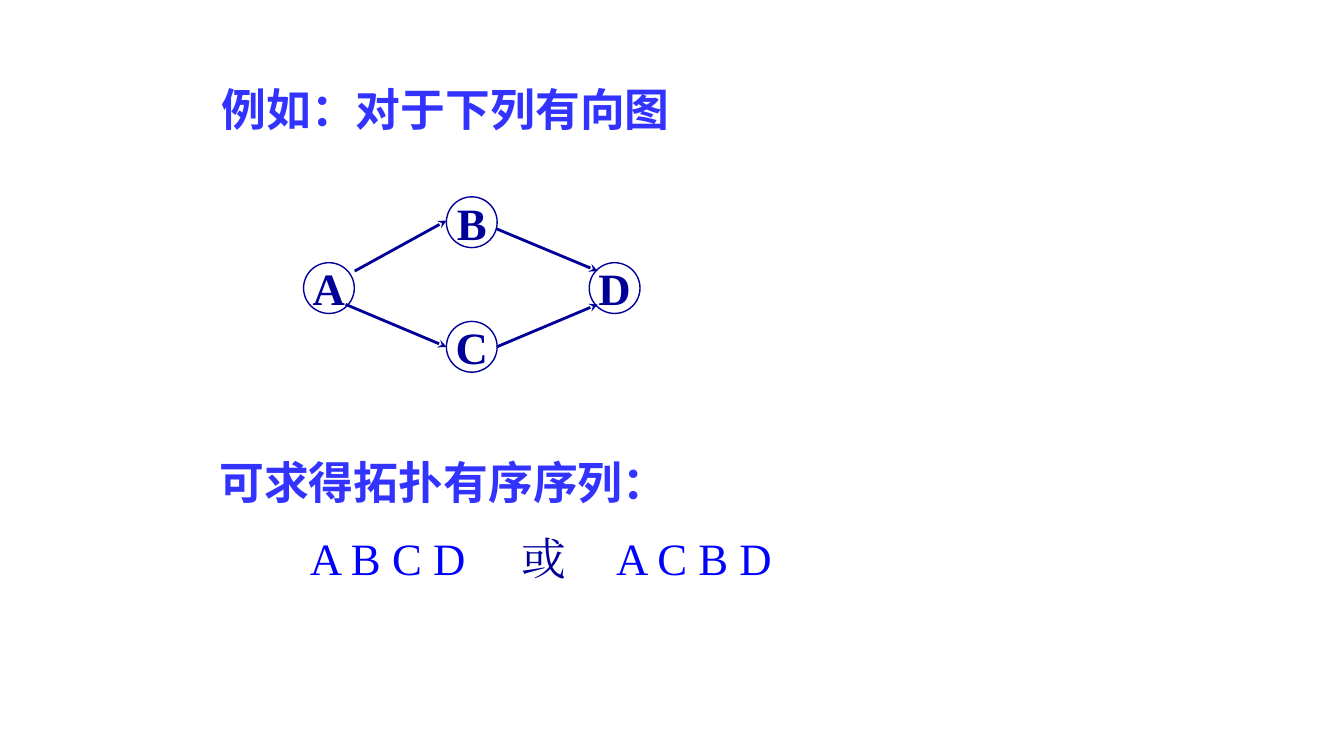
"""Builds a slide showing a directed graph and its topological orders."""
import dataclasses

import pptx
import pptx.dml.color
import pptx.enum.shapes
import pptx.enum.text
import pptx.oxml.ns
import pptx.util
from lxml import etree

Cm = pptx.util.Cm
Pt = pptx.util.Pt
qn = pptx.oxml.ns.qn
Align = pptx.enum.text.PP_ALIGN
Anchor = pptx.enum.text.MSO_ANCHOR


@dataclasses.dataclass(frozen=True)
class Theme:
    head: str = "3333FF"
    ink: str = "000099"
    order: str = "0000FF"
    sans: str = "DejaVu Sans Mono"
    serif: str = "Times New Roman"
    size: float = 32
    ring: float = 1
    edge: float = 2


@dataclasses.dataclass(frozen=True)
class Node:
    name: str
    x: float
    y: float


@dataclasses.dataclass(frozen=True)
class Edge:
    x1: float
    y1: float
    x2: float
    y2: float


THEME = Theme()
WIDTH = 1.28
NODES = [
    Node("B", 11.89, 5.6),
    Node("D", 15.49, 7.26),
    Node("A", 8.29, 7.26),
    Node("C", 11.89, 8.74),
]
EDGES = [
    Edge(8.94, 6.83, 11.25, 5.56),
    Edge(8.71, 7.67, 11.25, 8.74),
    Edge(12.52, 5.77, 15.06, 6.83),
    Edge(12.52, 8.74, 15.06, 7.67),
]
ORDERS = [("\tA B C D", THEME.order), ("\t或", THEME.ink), ("\tA C B D", THEME.order)]
TABS = [2.28, 7.62, 10]


def color(code: str) -> pptx.dml.color.RGBColor:
    return pptx.dml.color.RGBColor.from_string(code)


def write(para, text: str, *, face: str, tint: str, bold: bool = True) -> None:
    run = para.add_run()
    run.text = text
    font = run.font
    font.name = face
    font.size = Pt(THEME.size)
    font.bold = bold
    font.color.rgb = color(tint)
    latin = run._r.rPr.find(qn("a:latin"))
    latin.addnext(latin.makeelement(qn("a:ea"), {"typeface": face}))


def set_tabs(para, stops: list[float]) -> None:
    tabs = etree.SubElement(para._p.get_or_add_pPr(), qn("a:tabLst"))
    for stop in stops:
        etree.SubElement(tabs, qn("a:tab"), pos=str(Cm(stop)), algn="l")


def draw_title(slide) -> None:
    title = slide.shapes.title
    title.left, title.top = Cm(5.33), Cm(1.93)
    title.width, title.height = Cm(11.96), Cm(1.63)
    frame = title.text_frame
    frame.word_wrap = False
    frame.auto_size = pptx.enum.text.MSO_AUTO_SIZE.NONE
    frame.vertical_anchor = Anchor.TOP
    para = frame.paragraphs[0]
    para.alignment = Align.LEFT
    write(para, "例如：对于下列有向图", face=THEME.sans, tint=THEME.head)


def draw_node(slide, node: Node) -> None:
    oval = slide.shapes.add_shape(
        pptx.enum.shapes.MSO_SHAPE.OVAL,
        Cm(node.x - WIDTH / 2), Cm(node.y - WIDTH / 2), Cm(WIDTH), Cm(WIDTH),
    )
    oval.shadow.inherit = False
    oval.fill.background()
    oval.line.color.rgb = color(THEME.ink)
    oval.line.width = Pt(THEME.ring)
    frame = oval.text_frame
    frame.word_wrap = False
    frame.vertical_anchor = Anchor.MIDDLE
    para = frame.paragraphs[0]
    para.alignment = Align.CENTER
    write(para, node.name, face=THEME.serif, tint=THEME.ink)


def draw_edge(slide, edge: Edge) -> None:
    link = slide.shapes.add_connector(
        pptx.enum.shapes.MSO_CONNECTOR.STRAIGHT,
        Cm(edge.x1), Cm(edge.y1), Cm(edge.x2), Cm(edge.y2),
    )
    link.line.color.rgb = color(THEME.ink)
    link.line.width = Pt(THEME.edge)
    etree.SubElement(link.line._get_or_add_ln(), qn("a:tailEnd"), type="stealth")
    etree.SubElement(link._element.spPr, qn("a:effectLst"))


def draw_result(slide) -> None:
    box = slide.shapes.add_textbox(Cm(5.28), Cm(11.33), Cm(22.86), Cm(3.68))
    frame = box.text_frame
    frame.word_wrap = True
    write(frame.paragraphs[0], "可求得拓扑有序序列：", face=THEME.sans, tint=THEME.head)
    para = frame.add_paragraph()
    para.space_before = Pt(THEME.size / 2)
    set_tabs(para, TABS)
    for text, tint in ORDERS:
        write(para, text, face=THEME.serif, tint=tint, bold=False)


def main() -> None:
    deck = pptx.Presentation()
    deck.slide_width, deck.slide_height = Cm(33.87), Cm(19.05)
    slide = deck.slides.add_slide(deck.slide_layouts.get_by_name("Title Only"))
    draw_title(slide)
    for node in NODES:
        draw_node(slide, node)
    for edge in EDGES:
        draw_edge(slide, edge)
    draw_result(slide)
    deck.save("out.pptx")


if __name__ == "__main__":
    main()
